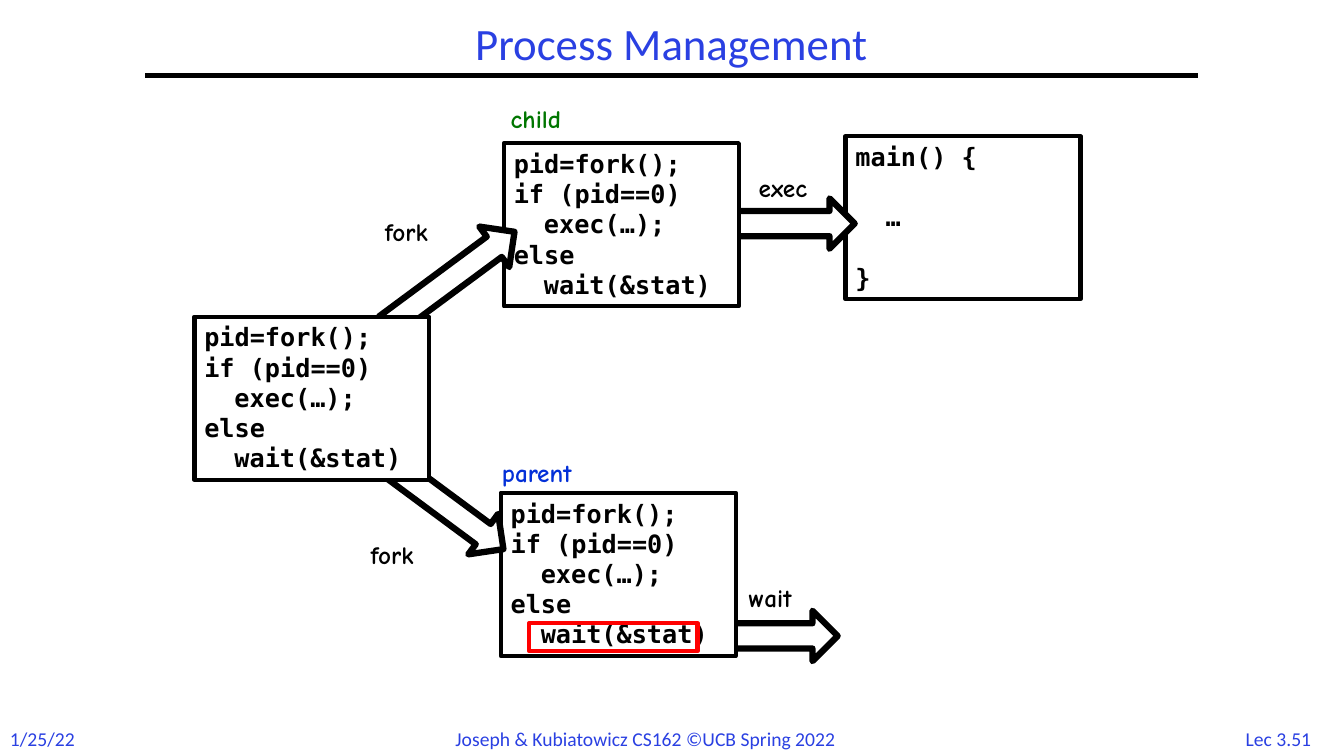
"""Build the Process Management slide: fork, exec and wait between processes."""
from lxml.etree import SubElement
from pptx import Presentation
from pptx.dml.color import RGBColor
from pptx.enum.shapes import MSO_CONNECTOR, MSO_SHAPE
from pptx.enum.text import MSO_ANCHOR, MSO_AUTO_SIZE, PP_ALIGN
from pptx.oxml.ns import qn
from pptx.util import Cm, Pt

BLACK, WHITE, RED, BLUE = "000000", "FFFFFF", "FF0000", "2A40E2"
BODY, HAND, CODE = "Calibri", "Comic Neue", "DejaVu Sans Mono"
BOX_W, BOX_H, ARROW_H = 5.92, 4.11, 1.27
LABEL_H, FOOTER_Y, FOOTER_H = 1.02, 18.19, 0.86
LINE_PITCH, INDENT = 21.6, 0.76

TITLE = "Process Management"
FORK_CODE = [("pid=fork();", 0), ("if (pid==0)", 0), ("exec(…);", 1),
             ("else", 0), ("wait(&stat)", 1)]
MAIN_CODE = [("main() {", 0), ("…", 1), ("}", 0)]

# kind, left, top, then the details of that kind, from back to front
DIAGRAM = [
    ("arrow", 18.14, 15.39, 2.97, 0),
    ("box", 21.31, 3.43, MAIN_CODE, LINE_PITCH),
    ("arrow", 18.57, 5.0, 2.97, 0),
    ("box", 12.62, 12.42, FORK_CODE, 0),
    ("frame", 13.34, 15.7, 4.24, 0.71),
    ("box", 12.7, 3.61, FORK_CODE, 0),
    ("arrow", 9.35, 6.4, 4.01, -36.5),
    ("arrow", 9.07, 12.01, 4.01, 36.5),
    ("box", 4.9, 7.98, FORK_CODE, 0),
]
LABELS = [
    ("child", 12.62, 2.49, 2.01, "007600"),
    ("parent", 12.4, 11.4, 2.51, "0330D8"),
    ("fork", 9.45, 5.33, 1.83, BLACK),
    ("fork", 9.09, 13.46, 1.83, BLACK),
    ("wait", 18.62, 14.55, 1.8, BLACK),
    ("exec", 18.87, 4.22, 1.93, BLACK),
]
FOOTERS = [
    ("1/25/22", 0, 2.16, PP_ALIGN.LEFT),
    ("Joseph & Kubiatowicz CS162 ©UCB Spring 2022", 11.23, 11.43, PP_ALIGN.LEFT),
    ("Lec 3.51", 30.99, 2.46, PP_ALIGN.CENTER),
]


def rgb(color):
    return RGBColor.from_string(color)


def add_run(p, text, font, size, color, bold=False):
    r = p.add_run()
    r.text = text
    r.font.name, r.font.size, r.font.bold = font, Pt(size), bold
    r.font.color.rgb = rgb(color)


def add_text(s, x, y, w, h, text, font, size, color, bold=False, align=PP_ALIGN.LEFT):
    tf = s.shapes.add_textbox(Cm(x), Cm(y), Cm(w), Cm(h)).text_frame
    tf.word_wrap = False
    tf.auto_size = MSO_AUTO_SIZE.SHAPE_TO_FIT_TEXT
    p = tf.paragraphs[0]
    p.alignment = align
    add_run(p, text, font, size, color, bold)


def add_outline(s, preset, x, y, w, h, color, weight, fill=WHITE):
    sp = s.shapes.add_shape(preset, Cm(x), Cm(y), Cm(w), Cm(h))
    sp.shadow.inherit = False
    if fill:
        sp.fill.solid()
        sp.fill.fore_color.rgb = rgb(fill)
    else:
        sp.fill.background()
    sp.line.color.rgb = rgb(color)
    sp.line.width = Pt(weight)
    return sp


def add_box(s, x, y, code, gap):
    sp = add_outline(s, MSO_SHAPE.RECTANGLE, x, y, BOX_W, BOX_H, BLACK, 3)
    tf = sp.text_frame
    tf.word_wrap = True
    tf.vertical_anchor = MSO_ANCHOR.TOP
    for i, (text, level) in enumerate(code):
        p = tf.add_paragraph() if i else tf.paragraphs[0]
        p.alignment = PP_ALIGN.LEFT
        p.space_before = Pt(gap if i else 0)
        p._p.get_or_add_pPr().set("marL", str(Cm(level * INDENT)))
        add_run(p, text, CODE, 18, BLACK, True)


def add_arrow(s, x, y, w, angle):
    sp = add_outline(s, MSO_SHAPE.RIGHT_ARROW, x, y, w, ARROW_H, BLACK, 4.5)
    sp.rotation = angle


def add_frame(s, x, y, w, h):
    add_outline(s, MSO_SHAPE.RECTANGLE, x, y, w, h, RED, 3, None)


def add_title(s):
    sp = s.shapes.title
    sp.left, sp.top, sp.width, sp.height = Cm(3.66), Cm(0.43), Cm(26.52), Cm(1.47)
    tf = sp.text_frame
    tf.vertical_anchor = MSO_ANCHOR.MIDDLE
    p = tf.paragraphs[0]
    p.alignment, p.line_spacing = PP_ALIGN.CENTER, 0.9
    add_run(p, TITLE, BODY, 32, BLUE)
    rule = s.shapes.add_connector(MSO_CONNECTOR.STRAIGHT, Cm(3.66), Cm(1.9), Cm(30.2), Cm(1.9))
    rule.line.color.rgb = rgb(BLACK)
    rule.line.width = Pt(3)
    SubElement(rule._element.spPr, qn("a:effectLst"))


def main():
    prs = Presentation()
    prs.slide_width, prs.slide_height = Cm(33.87), Cm(19.05)
    s = prs.slides.add_slide(prs.slide_layouts[5])
    add_title(s)
    for text, x, w, align in FOOTERS:
        add_text(s, x, FOOTER_Y, w, FOOTER_H, text, BODY, 14, BLUE, align=align)
    draw = {"box": add_box, "arrow": add_arrow, "frame": add_frame}
    for kind, *details in DIAGRAM:
        draw[kind](s, *details)
    for text, x, y, w, color in LABELS:
        add_text(s, x, y, w, LABEL_H, text, HAND, 18, color, True)
    prs.save("out.pptx")


if __name__ == "__main__":
    main()
